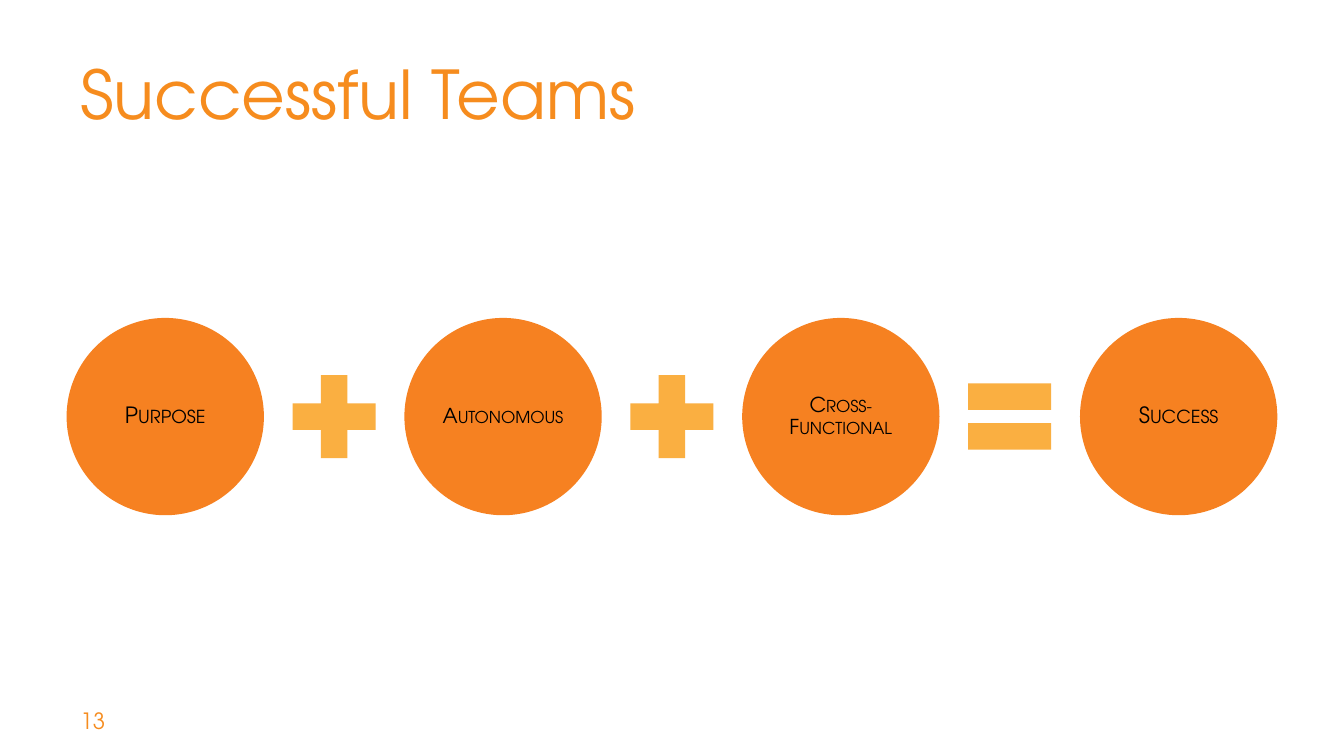
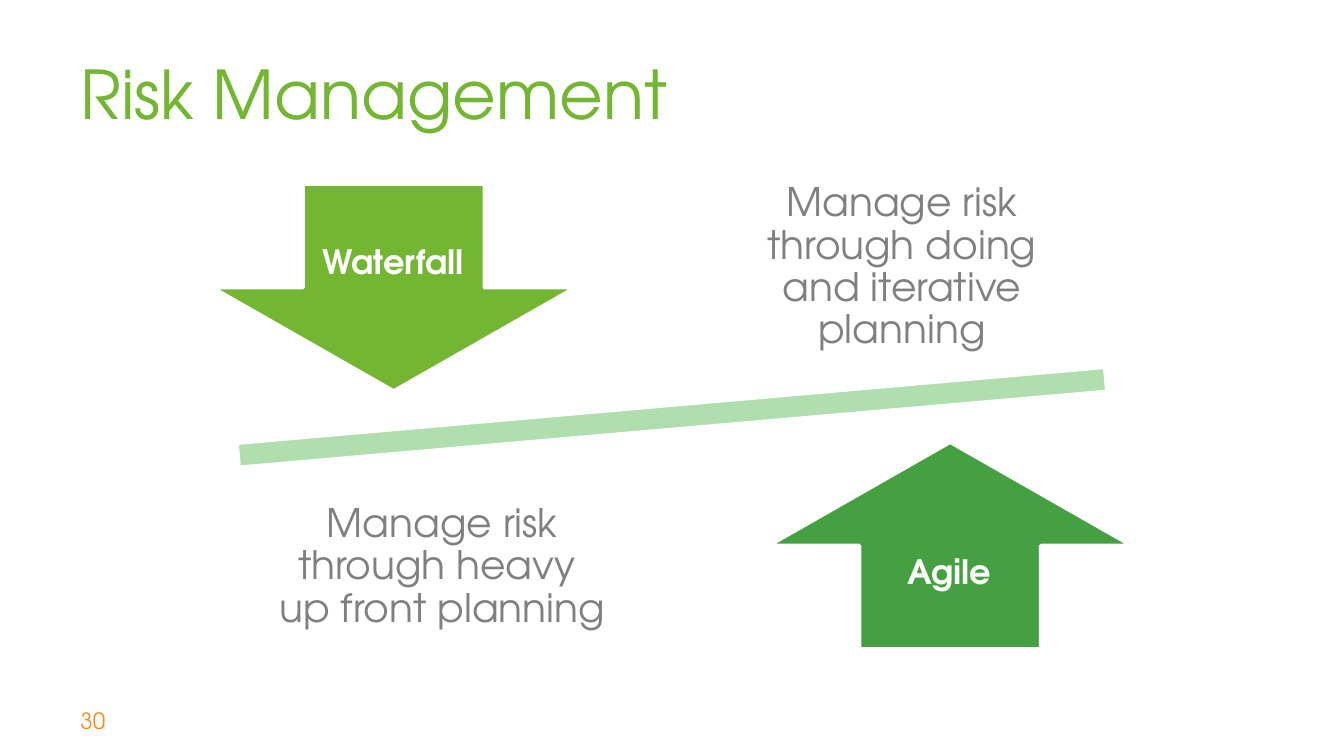
from pptx import Presentation
from pptx.dml.color import RGBColor
from pptx.enum.shapes import MSO_SHAPE
from pptx.enum.text import MSO_ANCHOR, PP_ALIGN
from pptx.util import Inches, Pt

FONT = "TeX Gyre Adventor"
COLORS = {
    "title": "F68C1E",
    "disc": "F68121",
    "sign": "FAAF41",
    "lime": "73B632",
    "green": "45A041",
    "bar": "B0DEAE",
    "gray": "808080",
    "black": "000000",
    "white": "FFFFFF",
}


def color(name):
    return RGBColor.from_string(COLORS[name])


def set_text(shape, text, size, ink, align=PP_ALIGN.CENTER, anchor=MSO_ANCHOR.MIDDLE,
             pad=(0.1, 0.05), bold=False, small=False, space=None):
    frame = shape.text_frame
    frame.text = text
    frame.word_wrap = True
    frame.vertical_anchor = anchor
    frame.margin_left = frame.margin_right = Inches(pad[0])
    frame.margin_top = frame.margin_bottom = Inches(pad[1])
    for para in frame.paragraphs:
        para.alignment = align
        if space:
            para.line_spacing = space
        for run in para.runs:
            run.font.name = FONT
            run.font.size = Pt(size)
            run.font.bold = bold
            run.font.color.rgb = color(ink)
            if small:
                run._r.get_or_add_rPr().set("cap", "small")


def add_text(slide, box, text, size, ink, **style):
    shape = slide.shapes.add_textbox(*map(Inches, box))
    set_text(shape, text, size, ink, **style)


def add_form(slide, kind, box, fill, line=None):
    shape = slide.shapes.add_shape(kind, *map(Inches, box))
    shape.shadow.inherit = False
    shape.fill.solid()
    shape.fill.fore_color.rgb = color(fill)
    if line:
        shape.line.color.rgb = color(line)
        shape.line.width = Pt(2)
    else:
        shape.line.fill.background()
    return shape


def add_page(deck, title, ink, number):
    slide = deck.slides.add_slide(deck.slide_layouts[6])
    add_text(slide, (0.5, 0.23, 9, 0.81), title, 36, ink,
             align=PP_ALIGN.LEFT, anchor=MSO_ANCHOR.BOTTOM)
    add_text(slide, (0.5, 5.21, 1.07, 0.3), str(number), 12, "title",
             align=PP_ALIGN.LEFT)
    return slide


def add_teams(deck):
    slide = add_page(deck, "Successful Teams", "title", 13)
    plus, equal = MSO_SHAPE.MATH_PLUS, MSO_SHAPE.MATH_EQUAL
    steps = [("Purpose", 12, plus), ("Autonomous", 11, plus),
             ("Cross-Functional", 11, equal), ("Success", 12, None)]
    left, last, disc, sign, mid = 0.51, 8.05, 1.44, 0.84, 3.1
    pitch = (last - left) / (len(steps) - 1)
    gap = (pitch - disc - sign) / 2
    for i, (label, size, mark) in enumerate(steps):
        x = left + i * pitch
        form = add_form(slide, MSO_SHAPE.OVAL, (x, mid - disc / 2, disc, disc),
                        "disc", "disc")
        set_text(form, label, size, "black", pad=(0.02, 0.02), small=True, space=0.9)
        if mark:
            add_form(slide, mark, (x + disc + gap, mid - sign / 2, sign, sign), "sign")


def add_risk(deck):
    slide = add_page(deck, "Risk Management", "lime", 30)
    bar = add_form(slide, MSO_SHAPE.MATH_MINUS, (0.59, 2.72, 8.82, 0.77), "bar", "white")
    bar.rotation = 355
    sides = [
        (MSO_SHAPE.DOWN_ARROW, (1.58, 1.37), "lime", "Waterfall", (2.27, 1.74),
         "Manage risk through doing and iterative planning", (5.27, 1.18)),
        (MSO_SHAPE.UP_ARROW, (5.72, 3.29), "green", "Agile", (6.41, 4.05),
         "Manage risk through heavy \vup front planning", (1.85, 3.41)),
    ]
    for kind, spot, fill, _, _, note, place in sides:
        add_form(slide, kind, (*spot, 2.7, 1.54), fill, "white")
        add_text(slide, (*place, 2.88, 1.62), note, 21, "gray",
                 pad=(0.16, 0.16), space=0.9)
    for _, _, _, name, tag, _, _ in sides:
        add_text(slide, (*tag, 1.31, 0.4), name, 18, "white",
                 anchor=MSO_ANCHOR.TOP, bold=True)


def main():
    deck = Presentation()
    deck.slide_width = Inches(10)
    deck.slide_height = Inches(10 * 9 / 16)
    add_teams(deck)
    add_risk(deck)
    deck.save("out.pptx")


if __name__ == "__main__":
    main()
